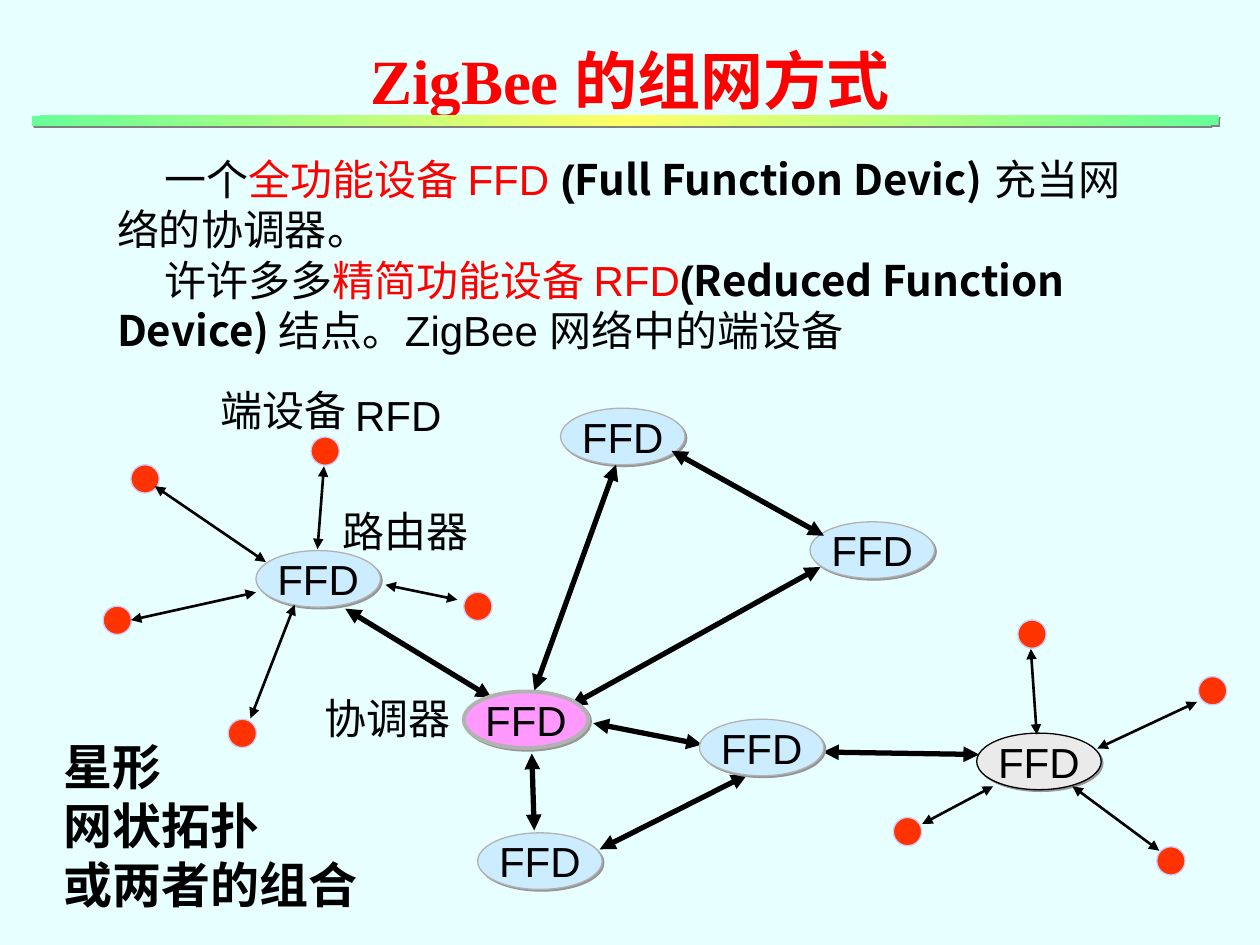
from dataclasses import dataclass
from typing import NamedTuple

from lxml.etree import SubElement
from pptx import Presentation
from pptx.dml.color import RGBColor
from pptx.enum.shapes import MSO_CONNECTOR as Line, MSO_SHAPE as Preset
from pptx.enum.text import MSO_ANCHOR as Anchor, PP_ALIGN as Align
from pptx.oxml import parse_xml
from pptx.oxml.ns import nsdecls, qn
from pptx.util import Cm, Pt


@dataclass(frozen=True)
class Theme:
    page: str = "E7FFFF"
    ink: str = "000000"
    accent: str = "FF0000"
    end_device: str = "FF3300"
    end_device_edge: str = "CCCCFF"
    router: str = "CCECFF"
    coordinator: str = "FF99FF"
    far_router: str = "EAEAEA"
    edge: str = "B2B2B2"
    node_shadow: str = "969696"
    bar_shadow: str = "808080"
    bar_ends: str = "66FF99"
    bar_middle: str = "FFFF66"
    sans: str = "Arial"
    serif: str = "Times New Roman"
    cjk: str = "Noto Sans CJK SC"
    title_size: int = 36
    topology_size: int = 28
    body_size: int = 24


THEME = Theme()


class Node(NamedTuple):
    left: float
    top: float
    fill: str = THEME.router
    edge: str = THEME.edge
    edge_width: float = 0.75


class Link(NamedTuple):
    x1: float
    y1: float
    x2: float
    y2: float


class Label(NamedTuple):
    text: str
    left: float
    top: float
    width: float


def rgb(color: str) -> RGBColor:
    return RGBColor.from_string(color)


def add_span(para, text: str, *, size=THEME.body_size, font=THEME.sans,
             color=THEME.ink, bold=False) -> None:
    span = para.add_run()
    span.text = text
    span.font.size, span.font.bold, span.font.name = Pt(size), bold, font
    span.font.color.rgb = rgb(color)
    SubElement(span.font._element, qn("a:ea"), typeface=THEME.cjk)


def add_box(page, left: float, top: float, width: float, height: float,
            *, wrap=False, anchor=Anchor.TOP):
    box = page.shapes.add_textbox(Cm(left), Cm(top), Cm(width), Cm(height))
    box.text_frame.word_wrap = wrap
    box.text_frame.vertical_anchor = anchor
    return box.text_frame


def add_para(frame, index: int, size: int):
    """Give the paragraph at index, with lines 1.2 times the type size."""
    para = frame.paragraphs[0] if index == 0 else frame.add_paragraph()
    para.line_spacing = Pt(size * 1.2)
    return para


def add_shadow(shape, color: str) -> None:
    shape.shadow.inherit = False
    effects = shape._element.spPr.find(qn("a:effectLst"))
    effects.append(parse_xml(
        f'<a:outerShdw {nsdecls("a")} dist="17780" dir="2700000" algn="ctr" '
        f'rotWithShape="0"><a:srgbClr val="{color}"/></a:outerShdw>'))


def add_oval(page, left: float, top: float, width: float, height: float,
             fill: str, edge: str, edge_width: float = 0.75):
    oval = page.shapes.add_shape(Preset.OVAL, Cm(left), Cm(top), Cm(width), Cm(height))
    oval.shadow.inherit = False
    oval.fill.solid()
    oval.fill.fore_color.rgb = rgb(fill)
    oval.line.color.rgb = rgb(edge)
    oval.line.width = Pt(edge_width)
    return oval


def add_node(page, node: Node) -> None:
    oval = add_oval(page, node.left, node.top, 2.51, 1.14,
                    node.fill, node.edge, node.edge_width)
    add_shadow(oval, THEME.node_shadow)
    frame = oval.text_frame
    frame.word_wrap = False
    frame.vertical_anchor = Anchor.MIDDLE
    para = frame.paragraphs[0]
    para.alignment = Align.CENTER
    add_span(para, "FFD")


def add_link(page, link: Link, width: float) -> None:
    x1, y1, x2, y2 = map(Cm, link)
    arrow = page.shapes.add_connector(Line.STRAIGHT, x1, y1, x2, y2)
    arrow.line.color.rgb = rgb(THEME.ink)
    arrow.line.width = Pt(width)
    outline = arrow.line._get_or_add_ln()
    for end in ("a:headEnd", "a:tailEnd"):
        SubElement(outline, qn(end), type="triangle")
    SubElement(arrow._element.spPr, qn("a:effectLst"))


def add_bar(page) -> None:
    bar = page.shapes.add_shape(Preset.RECTANGLE, Cm(0.64), Cm(2.33), Cm(23.93), Cm(0.2))
    bar.line.fill.background()
    stops = ((0, THEME.bar_ends), (50, THEME.bar_middle), (100, THEME.bar_ends))
    stop_xml = "".join(f'<a:gs pos="{at * 1000}"><a:srgbClr val="{color}"/></a:gs>'
                       for at, color in stops)
    bar._element.spPr.find(qn("a:prstGeom")).addnext(parse_xml(
        f'<a:gradFill {nsdecls("a")}><a:gsLst>{stop_xml}</a:gsLst>'
        '<a:lin ang="2700000" scaled="1"/></a:gradFill>'))
    add_shadow(bar, THEME.bar_shadow)


END_DEVICES = [(6.27, 8.81), (23.32, 17.07), (18.01, 16.48), (24.16, 13.64), (20.52, 12.5),
               (2.64, 9.37), (2.08, 12.22), (4.6, 14.5), (9.35, 11.94)]
OUTER_NODES = [Node(5.16, 11.1), Node(9.63, 16.79), Node(16.33, 10.52), Node(11.3, 8.23),
               Node(19.69, 14.78, THEME.far_router, THEME.ink)]
INNER_NODES = [Node(14.1, 14.5), Node(9.35, 13.94, THEME.coordinator, edge_width=2.25)]
MESH_LINKS = [
    Link(12.42, 9.37, 10.77, 13.92), Link(6.96, 12.27, 9.91, 14.07),
    Link(13.54, 9.09, 16.61, 10.8), Link(16.54, 11.43, 11.51, 14.22),
    Link(10.72, 15.19, 10.77, 16.74), Link(14.15, 15.01, 11.96, 14.58),
    Link(19.74, 15.21, 16.59, 15.16), Link(15.06, 15.62, 12.09, 17.12)]
STAR_LINKS = [
    Link(3.12, 9.8, 5.36, 11.33), Link(7.77, 11.79, 9.22, 12.09),
    Link(6.53, 9.4, 6.4, 11.07), Link(2.64, 12.5, 5.16, 11.94),
    Link(24.13, 14.15, 22.12, 15.09), Link(20.78, 13.08, 20.9, 14.81),
    Link(5.94, 12.19, 5.05, 14.48), Link(21.62, 15.85, 23.37, 17.15),
    Link(20.02, 15.85, 18.59, 16.61)]
LABELS = [Label("RFD", 6.91, 7.72, 2.24), Label("端设备", 4.19, 7.62, 3.05),
          Label("路由器", 6.65, 10.06, 3.05), Label("协调器", 6.3, 13.84, 3.05)]
RED = {"color": THEME.accent}
BOLD = {"bold": True}
BOLD_CJK = {"bold": True, "font": THEME.cjk}
BODY = [
    [("一个", {}), ("全功能设备 FFD ", RED), ("(", BOLD),
     ("Full Function Devic)", BOLD_CJK), (" 充当网络的协调器。", {})],
    [("许许多多", {}), ("精简功能设备 RFD", RED), ("(", BOLD),
     ("Reduced Function Device) ", BOLD_CJK), ("结点。ZigBee 网络中的端设备", {})]]
TOPOLOGIES = ["星形", "网状拓扑", "或两者的组合"]


def main() -> None:
    deck = Presentation()
    deck.slide_width, deck.slide_height = Cm(25.4), Cm(19.05)
    page = deck.slides.add_slide(deck.slide_layouts[6])
    page.background.fill.solid()
    page.background.fill.fore_color.rgb = rgb(THEME.page)

    # Title and the bar below it
    title = add_box(page, 1.9, 0.43, 21.6, 2.34, wrap=True, anchor=Anchor.MIDDLE)
    title.paragraphs[0].alignment = Align.CENTER
    add_span(title.paragraphs[0], "ZigBee 的组网方式", size=THEME.title_size,
             font=THEME.serif, color=THEME.accent, bold=True)
    add_bar(page)

    # Network diagram
    for left, top in END_DEVICES:
        add_oval(page, left, top, 0.57, 0.57, THEME.end_device, THEME.end_device_edge)
    for node in OUTER_NODES:
        add_node(page, node)
    for links, width in ((MESH_LINKS, 3), (STAR_LINKS, 1.5)):
        for link in links:
            add_link(page, link, width)
    for node in INNER_NODES:
        add_node(page, node)
    for label in LABELS:
        frame = add_box(page, label.left, label.top, label.width, 1.27)
        add_span(add_para(frame, 0, THEME.body_size), label.text)

    # Explanation, with indented first lines
    body = add_box(page, 2.11, 2.97, 21.11, 4.32, wrap=True)
    for index, spans in enumerate(BODY):
        para = add_para(body, index, THEME.body_size)
        para._p.get_or_add_pPr().set("indent", str(Cm(0.95)))
        for text, style in spans:
            add_span(para, text, **style)

    # Topologies
    frame = add_box(page, 1.04, 14.73, 6.43, 3.81)
    for index, text in enumerate(TOPOLOGIES):
        add_span(add_para(frame, index, THEME.topology_size), text,
                 size=THEME.topology_size, font=THEME.serif, bold=True)

    deck.save("out.pptx")


if __name__ == "__main__":
    main()
